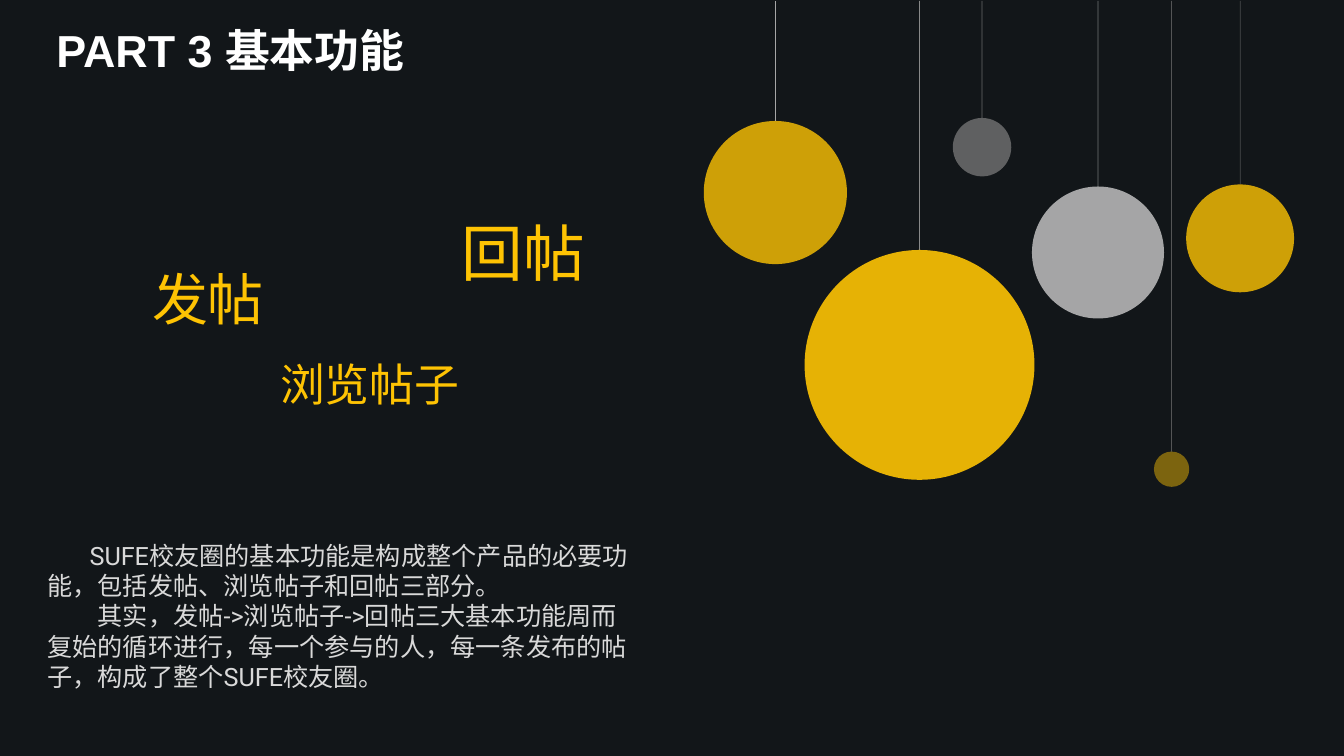
from lxml import etree
from pptx import Presentation
from pptx.dml.color import RGBColor
from pptx.enum.shapes import MSO_CONNECTOR as Connector, MSO_SHAPE as Shape
from pptx.enum.text import MSO_ANCHOR as Anchor, MSO_AUTO_SIZE as AutoSize, PP_ALIGN as Align
from pptx.oxml.ns import qn
from pptx.util import Inches, Pt

NAVY = RGBColor(0x18, 0x20, 0x28)
BLACK = RGBColor(0x0D, 0x0D, 0x0D)
GOLD = RGBColor(0xFE, 0xC3, 0x03)
SILVER = RGBColor(0xBF, 0xBF, 0xBF)
LIGHT_GREY = RGBColor(0xA6, 0xA6, 0xA6)
GREY = RGBColor(0x80, 0x80, 0x80)
PALE = RGBColor(0xD9, 0xD9, 0xD9)
WHITE = RGBColor(0xFF, 0xFF, 0xFF)

PENDANTS = [
    (11.62, 4.48, 0.35, GOLD, 45, GREY, 60),
    (9.12, 2.48, 2.28, GOLD, 90, LIGHT_GREY, 80),
    (7.69, 1.2, 1.42, GOLD, 80, LIGHT_GREY, 100),
    (12.3, 1.83, 1.07, GOLD, 80, GREY, 50),
    (10.89, 1.85, 1.31, SILVER, 85, GREY, 90),
    (9.74, 1.17, 0.58, GREY, 70, GREY, 80),
]
FUNCTIONS = [
    ("发帖", (1.41, 2.58, 1.34, 0.77), 40),
    ("回帖", (4.48, 2.08, 1.5, 0.84), 44),
    ("浏览帖子", (2.68, 3.49, 2, 0.64), 32),
]
INTRODUCTION = [
    ("SUFE校友圈的基本功能是构成整个产品的必要功能，包括发帖、浏览帖子和回帖三部分。", 0.42),
    ("其实，发帖->浏览帖子->回帖三大基本功能周而复始的循环进行，"
     "每一个参与的人，每一条发布的帖子，构成了整个SUFE校友圈。", 0.5),
]


class PendantSlide:
    def __init__(self, slide, font):
        self.slide = slide
        self.font = font

    def set_alpha(self, holder, percent):
        if percent < 100:
            color = next(holder.iter(qn("a:srgbClr")))
            etree.SubElement(color, qn("a:alpha")).set("val", str(percent * 1000))

    def fill_shape(self, shapes, preset, box, color, alpha=100):
        shape = shapes.add_shape(preset, *map(Inches, box))
        shape.shadow.inherit = False
        shape.fill.solid()
        shape.fill.fore_color.rgb = color
        shape.line.fill.background()
        self.set_alpha(shape.element.spPr, alpha)

    def pendant(self, center, top, diameter, color, alpha, cord_color, cord_alpha):
        shapes = self.slide.shapes.add_group_shape().shapes
        cord = shapes.add_connector(Connector.STRAIGHT, Inches(center), Inches(0.01),
                                    Inches(center), Inches(top))
        cord.line.color.rgb = cord_color
        cord.line.width = Pt(0.5)
        self.set_alpha(cord.element.spPr, cord_alpha)
        etree.SubElement(cord.element.spPr, qn("a:effectLst"))
        ball = (center - diameter / 2, top, diameter, diameter)
        self.fill_shape(shapes, Shape.OVAL, ball, color, alpha)

    def style(self, paragraph, size, color, font, bold=False):
        for run in paragraph.runs:
            run.font.name = font
            run.font.size = Pt(size)
            run.font.bold = bold
            run.font.color.rgb = color

    def text(self, lines, box, size, color, wrap=True):
        frame = self.slide.shapes.add_textbox(*map(Inches, box)).text_frame
        frame.word_wrap = wrap
        frame.text = "\n".join(line for line, _ in lines)
        for paragraph, (_, indent) in zip(frame.paragraphs, lines):
            if indent:
                paragraph._p.get_or_add_pPr().set("indent", str(Inches(indent)))
            self.style(paragraph, size, color, self.font)

    def title(self, wording, box, size, font):
        heading = self.slide.shapes.title
        heading.left, heading.top, heading.width, heading.height = map(Inches, box)
        heading.element.getparent().append(heading.element)
        frame = heading.text_frame
        frame.text = wording
        frame.word_wrap = True
        frame.auto_size = AutoSize.NONE
        frame.vertical_anchor = Anchor.TOP
        frame.paragraphs[0].alignment = Align.LEFT
        self.style(frame.paragraphs[0], size, WHITE, font, bold=True)


def main():
    deck = Presentation()
    deck.slide_width, deck.slide_height = Inches(13.33), Inches(7.5)
    page = PendantSlide(deck.slides.add_slide(deck.slide_layouts[5]), "Roboto")
    shapes = page.slide.shapes
    page.fill_shape(shapes, Shape.RECTANGLE, (0, 0, 13.35, 7.5), NAVY)
    page.fill_shape(shapes, Shape.RECTANGLE, (0, -0.01, 13.33, 7.51), BLACK, 52)
    for pendant in PENDANTS:
        page.pendant(*pendant)
    page.text(INTRODUCTION, (0.37, 5.31, 6.03, 1.62), 18, PALE)
    for name, box, size in FUNCTIONS:
        page.text([(name, 0)], box, size, GOLD, wrap=False)
    page.title("PART 3 基本功能", (0.46, 0.18, 3.7, 0.64), 32, "Arial")
    deck.save("out.pptx")


if __name__ == "__main__":
    main()
